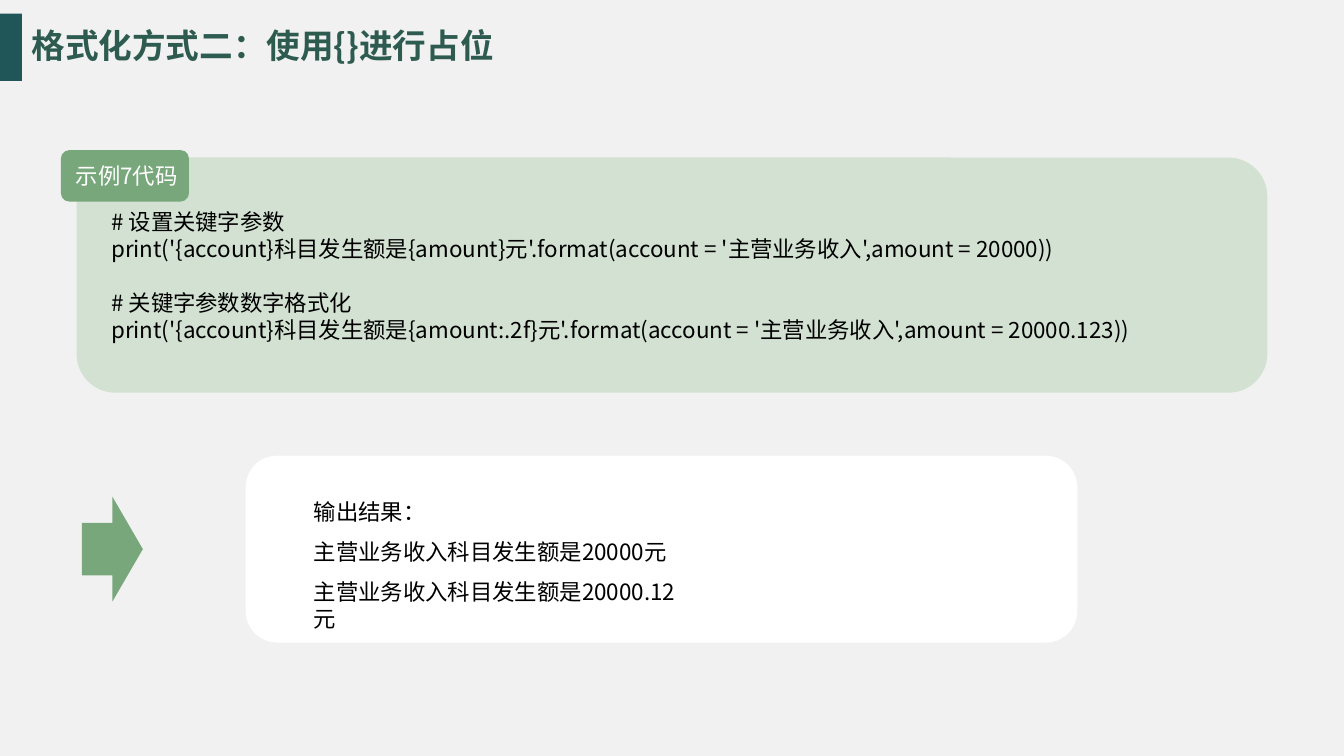
from dataclasses import dataclass

from lxml import etree
from pptx import Presentation
from pptx import util as u
from pptx.dml.color import RGBColor
from pptx.enum import shapes, text
from pptx.oxml.ns import qn

EMU_PER_PX = 9525


@dataclass(frozen=True)
class Theme:
    font: str = "Noto Sans CJK SC"
    background: str = "F1F1F1"
    accent: str = "205657"
    heading: str = "2E5B50"
    panel: str = "D2E1D2"
    green: str = "78A77B"
    white: str = "FFFFFF"
    ink: str = "000000"
    title_size: int = 24
    body_size: int = 16


def px(value):
    return u.Emu(value * EMU_PER_PX)


class SlideBuilder:
    def __init__(self, presentation, theme):
        self.theme = theme
        self.slide = presentation.slides.add_slide(presentation.slide_layouts[6])
        fill = self.slide.background.fill
        fill.solid()
        fill.fore_color.rgb = RGBColor.from_string(theme.background)

    def shape(self, kind, box, color, radius=None):
        shape = self.slide.shapes.add_shape(kind, *map(px, box))
        shape.shadow.inherit = False
        shape.fill.solid()
        shape.fill.fore_color.rgb = RGBColor.from_string(color)
        shape.line.fill.background()
        if radius is not None:
            shape.adjustments[0] = radius / min(box[2:])
        return shape

    def rounded(self, box, color, radius):
        return self.shape(shapes.MSO_SHAPE.ROUNDED_RECTANGLE, box, color, radius)

    def set_lines(self, shape, lines, size, color, bold=False, left=0, top=0):
        frame = shape.text_frame
        frame.margin_left, frame.margin_top = px(left), px(top)
        frame.margin_right = frame.margin_bottom = 0
        frame.text = "\n".join(lines)
        for paragraph in frame.paragraphs:
            paragraph.alignment = text.PP_ALIGN.LEFT
            for run in paragraph.runs:
                run.font.size = u.Pt(size)
                run.font.bold = bold
                run.font.color.rgb = RGBColor.from_string(color)
                run.font.name = self.theme.font
                east_asian = etree.SubElement(run.font._element, qn("a:ea"))
                east_asian.set("typeface", self.theme.font)
        return frame

    def text_box(self, box, lines, size, color, bold=False, top=0, gaps=None):
        shape = self.slide.shapes.add_textbox(*map(px, box))
        frame = self.set_lines(shape, lines, size, color, bold, top=top)
        frame.word_wrap = True
        for index, gap in (gaps or {}).items():
            frame.paragraphs[index].space_before = u.Pt(gap)

    def tag(self, box, label):
        shape = self.rounded(box, self.theme.green, 8)
        frame = self.set_lines(shape, [label], self.theme.body_size,
                               self.theme.white, left=12)
        frame.word_wrap = False
        frame.vertical_anchor = text.MSO_ANCHOR.MIDDLE


def main():
    presentation = Presentation()
    presentation.slide_width, presentation.slide_height = px(1280), px(720)
    theme = Theme()
    builder = SlideBuilder(presentation, theme)

    builder.shape(shapes.MSO_SHAPE.RECTANGLE, (0, 13, 21, 64), theme.accent)
    builder.text_box((30, 23, 452, 41), ["格式化方式二：使用{}进行占位"],
                     theme.title_size, theme.heading, bold=True, top=1)

    builder.rounded((73, 150, 1134, 224), theme.panel, 37)
    builder.tag((58, 143, 122, 49), "示例7代码")
    code = [
        "# 设置关键字参数",
        "print('{account}科目发生额是{amount}元'.format(account = '主营业务收入',amount = 20000))",
        "# 关键字参数数字格式化",
        "print('{account}科目发生额是{amount:.2f}元'.format(account = '主营业务收入',amount = 20000.123))",
    ]
    builder.text_box((106, 198, 1026, 129), code,
                     theme.body_size, theme.ink, gaps={2: 19.5})

    builder.shape(shapes.MSO_SHAPE.RIGHT_ARROW, (78, 473, 58, 100), theme.green)
    builder.rounded((234, 434, 792, 178), theme.white, 30)
    output = [
        "输出结果：",
        "主营业务收入科目发生额是20000元",
        "主营业务收入科目发生额是20000.12元",
    ]
    builder.text_box((299, 460, 365, 118), output, theme.body_size,
                     theme.ink, top=14, gaps={1: 9.6, 2: 9.6})

    presentation.save("out.pptx")


if __name__ == "__main__":
    main()
